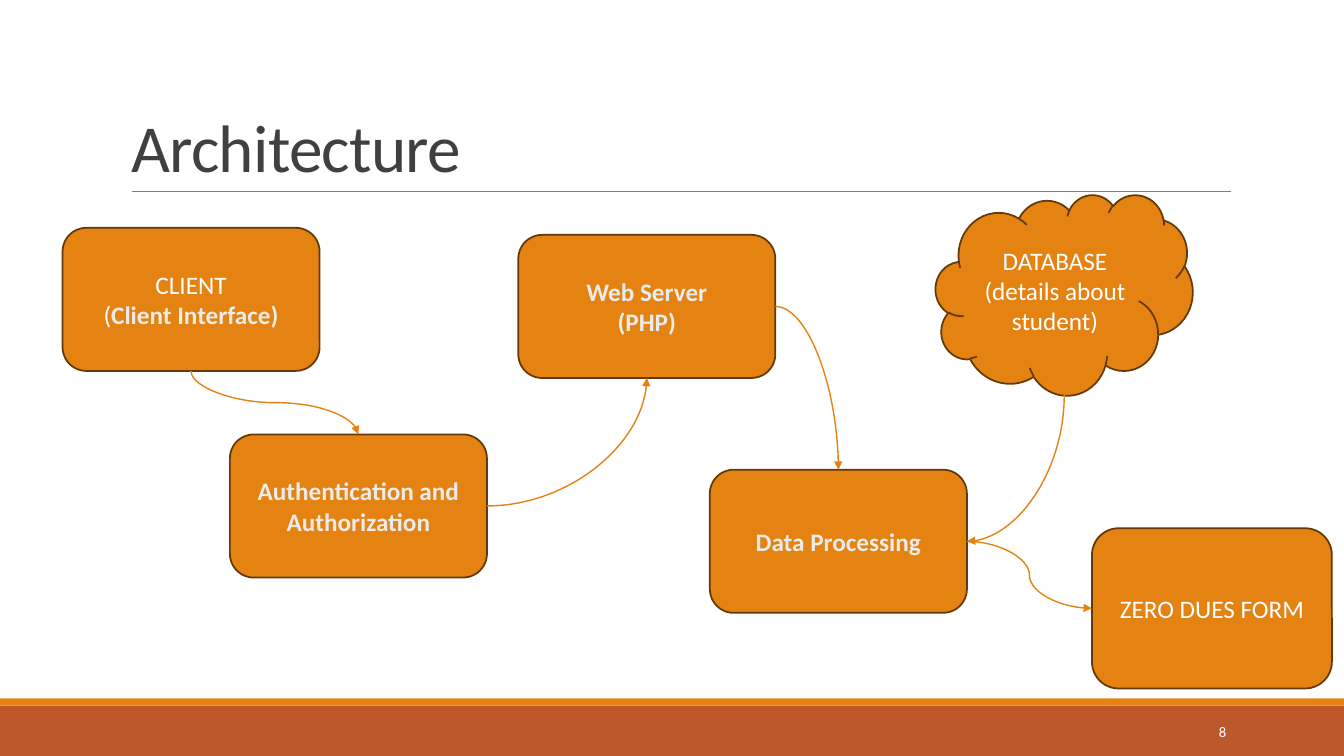
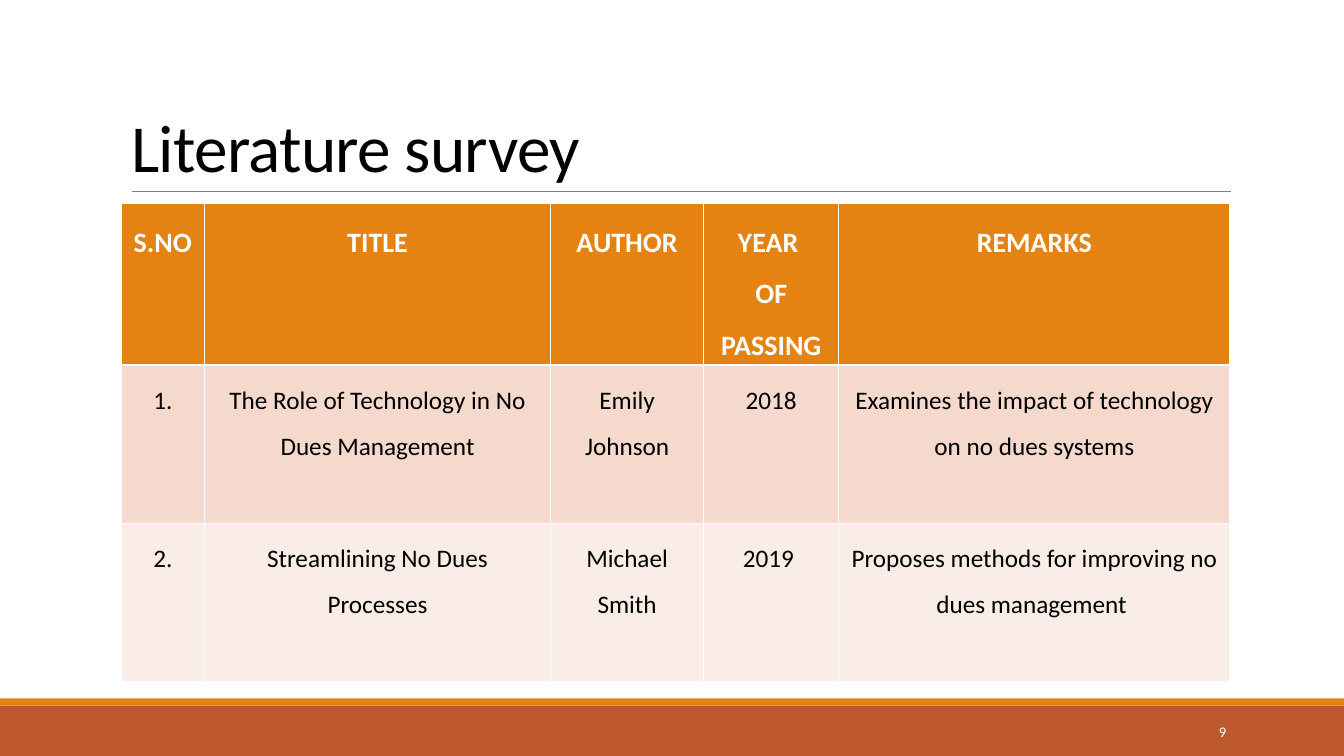
from lxml import etree
from pptx import Presentation
from pptx.dml.color import RGBColor
from pptx.enum.shapes import MSO_CONNECTOR, MSO_SHAPE
from pptx.enum.text import MSO_ANCHOR, MSO_AUTO_SIZE, PP_ALIGN
from pptx.oxml.ns import qn
from pptx.util import Inches, Pt

FONT = "Calibri"
ORANGE, RUST, BROWN, GRAY = "E48312", "BD582C", "643908", "808080"
WHITE, PALE, DARK, BLACK = "FFFFFF", "ECECEC", "404040", "000000"
ROW_FILLS = [ORANGE, "F5D9CC", "FAEDE7"]

# left, top, width, height of the shared parts
BANDS = [(RUST, (0, 7, 13.33, 0.5)), (ORANGE, (0, 6.93, 13.33, 0.07))]
TITLE_BOX = (1.2, 0.31, 11, 1.59)
NUMBER_BOX = (10.83, 7.06, 1.43, 0.4)
RULE_LEFT, RULE_RIGHT, RULE_TOP = 1.31, 12.21, 1.9

BOX_SIZE = (2.55, 1.42)
ROUND, CLOUD = MSO_SHAPE.ROUNDED_RECTANGLE, MSO_SHAPE.CLOUD
# name: (preset, box, paragraphs of (text, bold) runs)
NODES = {
    "authentication": (ROUND, (2.28, 4.31, *BOX_SIZE), [[("Authentication and Authorization", True)]]),
    "server": (ROUND, (5.14, 2.33, *BOX_SIZE), [[("Web Server", True)], [("(PHP)", True)]]),
    "processing": (ROUND, (7.04, 4.66, *BOX_SIZE), [[("Data Processing", True)]]),
    "client": (ROUND, (0.62, 2.26, *BOX_SIZE), [[("CLIENT\n(", False), ("Client Interface)", True)]]),
    "database": (CLOUD, (9.28, 1.93, 2.55, 1.99), [[("DATABASE\n(details about student)", False)]]),
    "form": (ROUND, (10.83, 5.24, 2.38, 1.59), [[("ZERO DUES FORM", False)]]),
}
LINKS = [
    ("authentication", "right", "server", "bottom"),
    ("client", "bottom", "authentication", "top"),
    ("server", "right", "processing", "top"),
    ("processing", "right", "form", "left"),
    ("database", "bottom", "processing", "right"),
]
# side: (connection site, cloud connection site, share of width, share of height)
SIDES = {
    "top": (0, 3, 0.5, 0),
    "left": (1, 2, 0, 0.5),
    "bottom": (2, 1, 0.5, 1),
    "right": (3, 0, 1, 0.5),
}
VERTICAL = ("top", "bottom")

TABLE_BOX = (1.2, 2.02, 11, 4.71)
COLUMN_WIDTHS = [0.83, 3.43, 1.52, 1.34, 3.88]
SURVEY = [
    ["S.NO", "TITLE", "AUTHOR", "YEAR \nOF PASSING", "REMARKS"],
    ["1.", "The Role of Technology in No Dues Management", "Emily Johnson", "2018",
     "Examines the impact of technology on no dues systems"],
    ["2.", "Streamlining No Dues Processes", "Michael Smith", "2019 ",
     "Proposes methods for improving no dues management "],
]


def rgb(value):
    return RGBColor.from_string(value)


def inches(box):
    return [Inches(value) for value in box]


def add_run(paragraph, text, size, color, bold=False):
    """Add text in one format, with a line break at each newline."""
    for index, line in enumerate(text.split("\n")):
        if index:
            paragraph.add_line_break()
        run = paragraph.add_run()
        run.text = line
        run.font.name = FONT
        run.font.size = Pt(size)
        run.font.bold = bold
        run.font.color.rgb = rgb(color)
    return run


def next_paragraph(frame, index):
    return frame.add_paragraph() if index else frame.paragraphs[0]


def add_filled_shape(slide, preset, box, fill, line=None):
    shape = slide.shapes.add_shape(preset, *inches(box))
    shape.shadow.inherit = False
    shape.fill.solid()
    shape.fill.fore_color.rgb = rgb(fill)
    if line:
        shape.line.color.rgb = rgb(line)
        shape.line.width = Pt(1.25)
    else:
        shape.line.fill.background()
    return shape


def style_connector(connector, color, width, arrow=False):
    connector.line.color.rgb = rgb(color)
    connector.line.width = Pt(width)
    properties = connector.element.spPr
    if arrow:
        line = properties.find(qn("a:ln"))
        etree.SubElement(line, qn("a:tailEnd"), type="triangle")
    etree.SubElement(properties, qn("a:effectLst"))


def add_slide(presentation, title, color, number):
    """Add a slide with bands, title, rule and number."""
    slide = presentation.slides.add_slide(presentation.slide_layouts[5])
    for fill, box in BANDS:
        add_filled_shape(slide, MSO_SHAPE.RECTANGLE, box, fill)
    rule = slide.shapes.add_connector(
        MSO_CONNECTOR.STRAIGHT, *inches((RULE_LEFT, RULE_TOP, RULE_RIGHT, RULE_TOP)))
    style_connector(rule, GRAY, 0.5)

    heading = slide.shapes.title
    heading.left, heading.top, heading.width, heading.height = inches(TITLE_BOX)
    frame = heading.text_frame
    frame.auto_size = MSO_AUTO_SIZE.NONE
    frame.vertical_anchor = MSO_ANCHOR.BOTTOM
    paragraph = frame.paragraphs[0]
    paragraph.alignment = PP_ALIGN.LEFT
    paragraph.line_spacing = 0.85
    run = add_run(paragraph, title, 48, color)
    run.font._element.set("spc", "-50")

    frame = slide.shapes.add_textbox(*inches(NUMBER_BOX)).text_frame
    frame.word_wrap = True
    frame.vertical_anchor = MSO_ANCHOR.MIDDLE
    frame.paragraphs[0].alignment = PP_ALIGN.RIGHT
    add_run(frame.paragraphs[0], str(number), 10.5, WHITE)
    return slide


def add_node(slide, preset, box, paragraphs):
    shape = add_filled_shape(slide, preset, box, ORANGE, BROWN)
    frame = shape.text_frame
    frame.word_wrap = True
    frame.vertical_anchor = MSO_ANCHOR.MIDDLE
    for index, runs in enumerate(paragraphs):
        paragraph = next_paragraph(frame, index)
        paragraph.alignment = PP_ALIGN.CENTER
        for text, bold in runs:
            add_run(paragraph, text, 18, PALE if bold else WHITE, bold)
    return shape


def locate(shape, side):
    """Return the connection site and the point at the middle of a side."""
    site, cloud_site, across, down = SIDES[side]
    if shape.auto_shape_type == CLOUD:
        site = cloud_site
    return site, shape.left + shape.width * across, shape.top + shape.height * down


def add_curve(slide, source, source_side, target, target_side):
    """Join two shapes; a curve that leaves vertically is turned by 90 degrees."""
    begin_site, x1, y1 = locate(source, source_side)
    end_site, x2, y2 = locate(target, target_side)
    turned = source_side in VERTICAL
    bend_once = turned != (target_side in VERTICAL)
    center_x, center_y = (x1 + x2) / 2, (y1 + y2) / 2
    half_x, half_y = (x2 - x1) / 2, (y2 - y1) / 2
    if turned:
        half_x, half_y = half_y, -half_x

    connector = slide.shapes.add_connector(MSO_CONNECTOR.CURVE, 0, 0, 0, 0)
    connector.begin_connect(source, begin_site)
    connector.end_connect(target, end_site)
    connector.begin_x, connector.begin_y = int(center_x - half_x), int(center_y - half_y)
    connector.end_x, connector.end_y = int(center_x + half_x), int(center_y + half_y)
    properties = connector.element.spPr
    if turned:
        properties.find(qn("a:xfrm")).set("rot", str(90 * 60000))
    if bend_once:
        properties.find(qn("a:prstGeom")).set("prst", "curvedConnector2")
    style_connector(connector, ORANGE, 1, arrow=True)


def add_survey_table(slide):
    table = slide.shapes.add_table(
        len(SURVEY), len(COLUMN_WIDTHS), *inches(TABLE_BOX)).table
    for column, width in zip(table.columns, COLUMN_WIDTHS):
        column.width = Inches(width)
    for row_index, (values, fill) in enumerate(zip(SURVEY, ROW_FILLS)):
        header = row_index == 0
        size, color = (20, WHITE) if header else (18, BLACK)
        for column_index, value in enumerate(values):
            cell = table.cell(row_index, column_index)
            cell.fill.solid()
            cell.fill.fore_color.rgb = rgb(fill)
            for index, text in enumerate(value.split("\n")):
                paragraph = next_paragraph(cell.text_frame, index)
                paragraph.alignment = PP_ALIGN.CENTER
                paragraph.line_spacing = 1.5
                add_run(paragraph, text, size, color, header)


def main():
    presentation = Presentation()
    presentation.slide_width = Inches(13.33)
    presentation.slide_height = Inches(7.5)

    slide = add_slide(presentation, "Architecture", DARK, 8)
    shapes = {name: add_node(slide, *node) for name, node in NODES.items()}
    for source, source_side, target, target_side in LINKS:
        add_curve(slide, shapes[source], source_side, shapes[target], target_side)

    slide = add_slide(presentation, "Literature survey", BLACK, 9)
    add_survey_table(slide)
    presentation.save("out.pptx")


if __name__ == "__main__":
    main()
